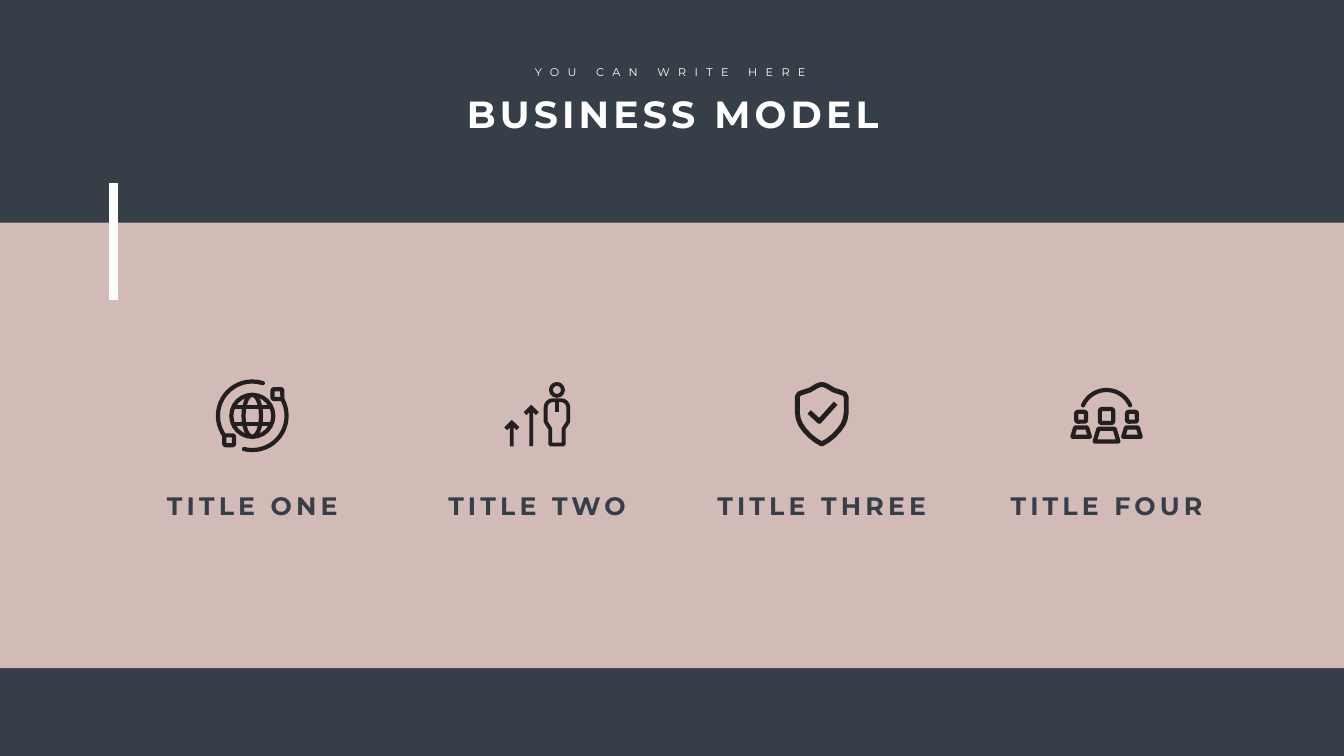
from dataclasses import dataclass
from math import cos, radians, sin

from lxml import etree
from pptx import Presentation
from pptx.dml.color import RGBColor
from pptx.enum import shapes, text
from pptx.oxml.ns import qn
from pptx.util import Pt


@dataclass(frozen=True)
class Theme:
    slate: RGBColor = RGBColor(0x36, 0x3E, 0x48)
    blush: RGBColor = RGBColor(0xF9, 0xD9, 0xD3)
    white: RGBColor = RGBColor(0xFF, 0xFF, 0xFF)
    ink: RGBColor = RGBColor(0x23, 0x1F, 0x20)
    font: str = "Montserrat"
    heading: int = 54
    kicker: int = 16
    label: int = 36


@dataclass(frozen=True)
class Label:
    content: str
    center: float
    top: float
    width: float
    height: float
    size: int
    color: RGBColor
    spacing: int
    bold: bool = True
    wrap: bool = True


@dataclass(frozen=True)
class Outline:
    """A preset shape placed by its centre, relative to the icon centre."""
    kind: shapes.MSO_SHAPE
    x: float
    y: float
    width: float
    height: float
    adjustments: tuple[float, ...] = ()
    weight: float = 6
    round_caps: bool = True


@dataclass(frozen=True)
class Stroke:
    """A polyline relative to the icon centre; a weight of 0 means filled."""
    points: tuple[tuple[float, float], ...]
    closed: bool = False
    weight: float = 6
    round_caps: bool = False


@dataclass(frozen=True)
class Column:
    title: str
    icon: tuple[Outline | Stroke, ...]


THEME = Theme()
WIDTH, HEIGHT = 1920, 1080
FIRST_CENTER, COLUMN_STEP, ICON_Y = 360.4, 406.8, 594


def circle(x: float, y: float, diameter: float, weight: float = 6) -> Outline:
    return Outline(shapes.MSO_SHAPE.OVAL, x, y, diameter, diameter, (), weight)


def rounded(x: float, y: float, width: float, height: float) -> Outline:
    return Outline(shapes.MSO_SHAPE.ROUNDED_RECTANGLE, x, y, width, height, (0.15,))


def orbit(diameter: float, start: float, end: float) -> Outline:
    """Clockwise arc about the icon centre, angles in degrees from east."""
    return Outline(shapes.MSO_SHAPE.ARC, 0, 0, diameter, diameter,
                   (start * 0.6, end * 0.6))


def arch(radius: float, start: int, end: int) -> Stroke:
    """Open arc that is bounded by its own ends, angles as for orbit."""
    angles = [radians(angle) for angle in range(start, end + 1, 4)]
    points = tuple((radius * cos(angle), radius * sin(angle)) for angle in angles)
    return Stroke(points, round_caps=True)


def mirrored(half: tuple[tuple[float, float], ...], axis: float = 0,
             weight: float = 6) -> Stroke:
    """Closed outline from its right half, given as offsets from the axis."""
    right = tuple((axis + x, y) for x, y in half)
    left = tuple((axis - x, y) for x, y in reversed(half) if x)
    return Stroke(right + left, True, weight)


def up_arrow(x: float, tip: float, foot: float) -> Stroke:
    return mirrored(((0, tip), (10.8, tip + 10.6), (6.8, tip + 14.8),
                     (2.7, tip + 10.8), (2.7, foot)), x, weight=0)


def team_member(x: float) -> tuple[Outline | Stroke, ...]:
    return rounded(x, 1.4, 14, 14), mirrored(((8.5, 16.6), (12.5, 30)), x)


GLOBE = (
    circle(0, 0, 60),
    Outline(shapes.MSO_SHAPE.OVAL, 0, 0, 25, 60),
    *(Stroke(((-27, y), (27, y))) for y in (-12.2, 12.2)),
    orbit(98, 147, 288), orbit(98, 331, 104),
    rounded(36, -31, 14, 14), rounded(-33, 35, 14, 14),
)
GROWTH = (
    up_arrow(-36, 5.8, 43.7), up_arrow(-8.3, -15.8, 43.5),
    circle(28.4, -37, 17.2, 5.5),
    mirrored(((6, -22.3), (10, -21.5), (13, -19.4), (15.4, -16), (16.2, -12),
              (16.2, 8.4), (9.6, 18.4), (9.6, 41)), 28.4, 5.5),
    Stroke(((28.4, -22), (28.4, -5.8)), weight=5.5),
)
SHIELD = (
    mirrored(((0, -44.8), (4, -44), (7.5, -42.5), (17, -36.8), (28.5, -33),
              (32.5, -31.5), (34.9, -27), (34.9, -4.3), (33.6, 4), (30.5, 12),
              (25, 20), (17, 28.5), (9, 35), (0, 40.2)), weight=7),
    Stroke(((-18, -5.4), (-3.6, 8), (19.8, -18)), weight=7),
)
TEAM = (
    arch(36.8, 204, 336),
    rounded(0, 0.4, 19, 20), mirrored(((11.5, 18.4), (17, 36.7))),
    *team_member(-36.3), *team_member(36.3),
)
COLUMNS = (Column("TITLE ONE", GLOBE), Column("TITLE TWO", GROWTH),
           Column("TITLE THREE", SHIELD), Column("TITLE FOUR", TEAM))


def draw_icon(slide, icon: tuple[Outline | Stroke, ...], center: float) -> None:
    group = slide.shapes.add_group_shape()
    for part in icon:
        if isinstance(part, Outline):
            shape = group.shapes.add_shape(
                part.kind, Pt(center + part.x - part.width / 2),
                Pt(ICON_Y + part.y - part.height / 2), Pt(part.width), Pt(part.height))
            for index, value in enumerate(part.adjustments):
                shape.adjustments[index] = value
        else:
            points = [(Pt(center + x), Pt(ICON_Y + y)) for x, y in part.points]
            builder = group.shapes.build_freeform(*points[0])
            builder.add_line_segments(points[1:], close=part.closed)
            shape = builder.convert_to_shape()
        shape.shadow.inherit = False
        if part.weight:
            shape.fill.background()
            shape.line.color.rgb = THEME.ink
            shape.line.width = Pt(part.weight)
            if part.round_caps:
                shape._element.spPr.find(qn("a:ln")).set("cap", "rnd")
        else:
            shape.fill.solid()
            shape.fill.fore_color.rgb = THEME.ink
            shape.line.fill.background()


def draw_label(slide, label: Label) -> None:
    box = slide.shapes.add_textbox(Pt(label.center - label.width / 2), Pt(label.top),
                                   Pt(label.width), Pt(label.height))
    box.text_frame.word_wrap = label.wrap
    paragraph = box.text_frame.paragraphs[0]
    paragraph.alignment = text.PP_ALIGN.CENTER
    run = paragraph.add_run()
    run.text = label.content
    run.font.name = THEME.font
    run.font.size = Pt(label.size)
    run.font.bold = label.bold
    run.font.color.rgb = label.color
    run._r.get_or_add_rPr().set("spc", str(label.spacing * 100))


def draw_band(slide) -> None:
    band = slide.shapes.add_shape(shapes.MSO_SHAPE.RECTANGLE, 0, Pt(318),
                                  Pt(WIDTH), Pt(636.5))
    band.shadow.inherit = False
    band.line.fill.background()
    band.fill.solid()
    band.fill.fore_color.rgb = THEME.blush
    color = band._element.spPr.find(qn("a:solidFill"))[0]
    etree.SubElement(color, qn("a:alpha"), val="80000")


def draw_accent(slide) -> None:
    accent = slide.shapes.add_connector(shapes.MSO_CONNECTOR.STRAIGHT,
                                        Pt(161.6), Pt(261.4), Pt(161.6), Pt(429))
    accent.line.color.rgb = THEME.white
    accent.line.width = Pt(13)
    etree.SubElement(accent._element.spPr, qn("a:effectLst"))


def main() -> None:
    presentation = Presentation()
    presentation.slide_width, presentation.slide_height = Pt(WIDTH), Pt(HEIGHT)
    slide = presentation.slides.add_slide(presentation.slide_layouts[6])
    slide.background.fill.solid()
    slide.background.fill.fore_color.rgb = THEME.slate

    draw_band(slide)
    draw_label(slide, Label("BUSINESS MODEL", 961.2, 126, 754.5, 73,
                            THEME.heading, THEME.white, 6))
    draw_label(slide, Label("YOU CAN WRITE HERE", 957.6, 89.3, 416, 26.6,
                            THEME.kicker, THEME.white, 12, bold=False, wrap=False))
    for index, column in enumerate(COLUMNS):
        center = FIRST_CENTER + index * COLUMN_STEP
        draw_icon(slide, column.icon, center)
        draw_label(slide, Label(column.title, center, 697, 367, 51,
                                THEME.label, THEME.slate, 6))
    draw_accent(slide)
    presentation.save("out.pptx")


if __name__ == "__main__":
    main()
